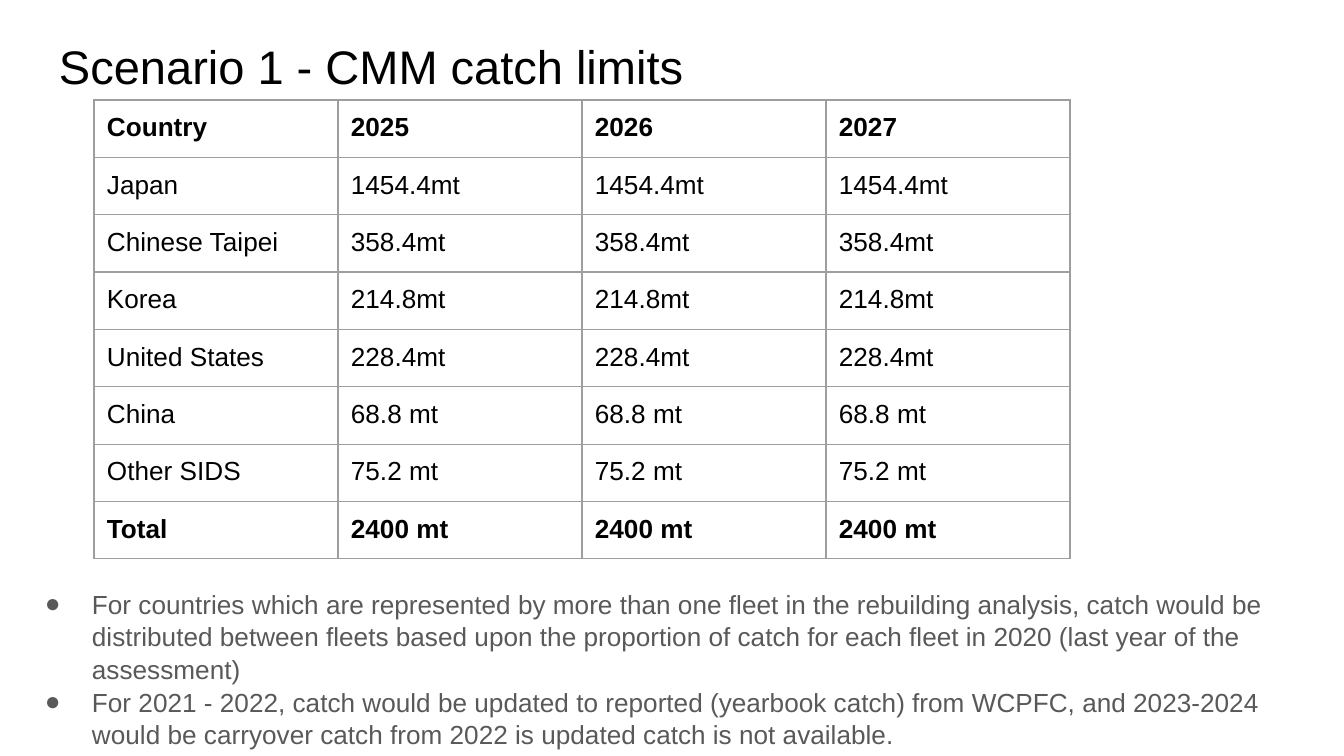
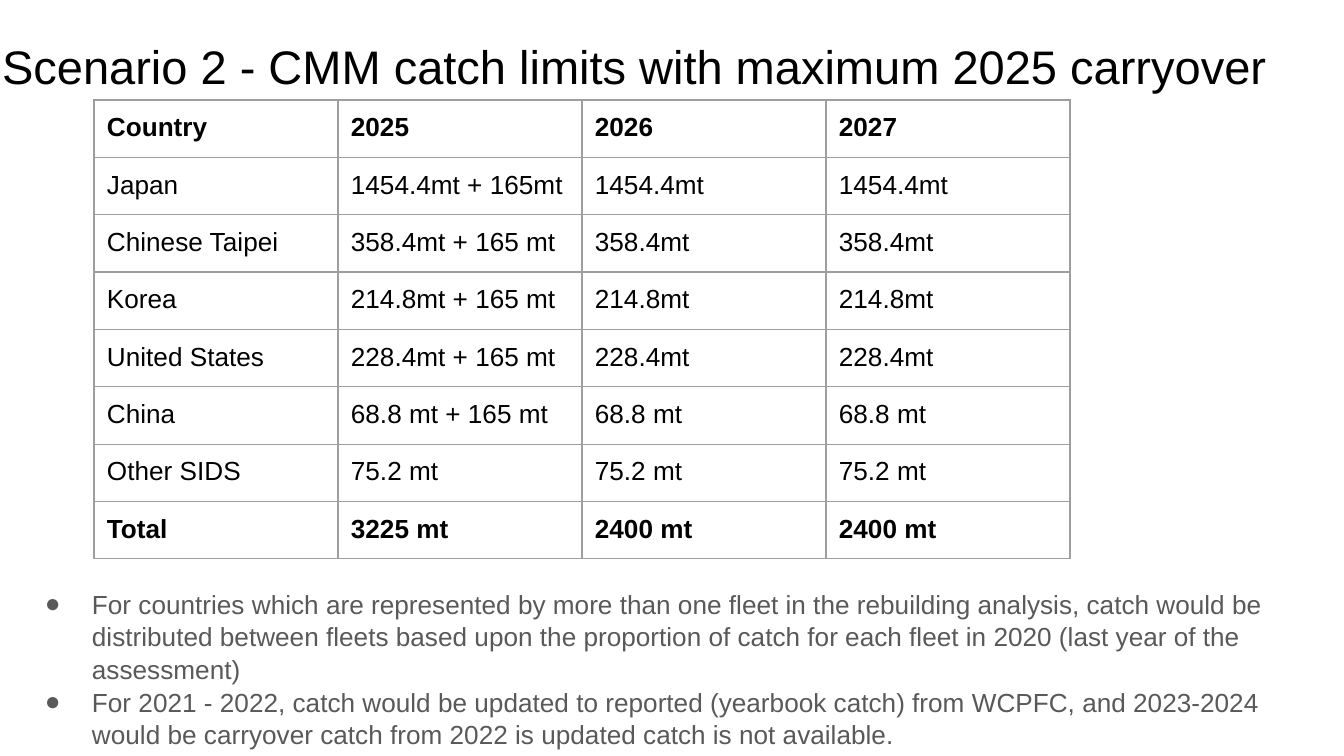
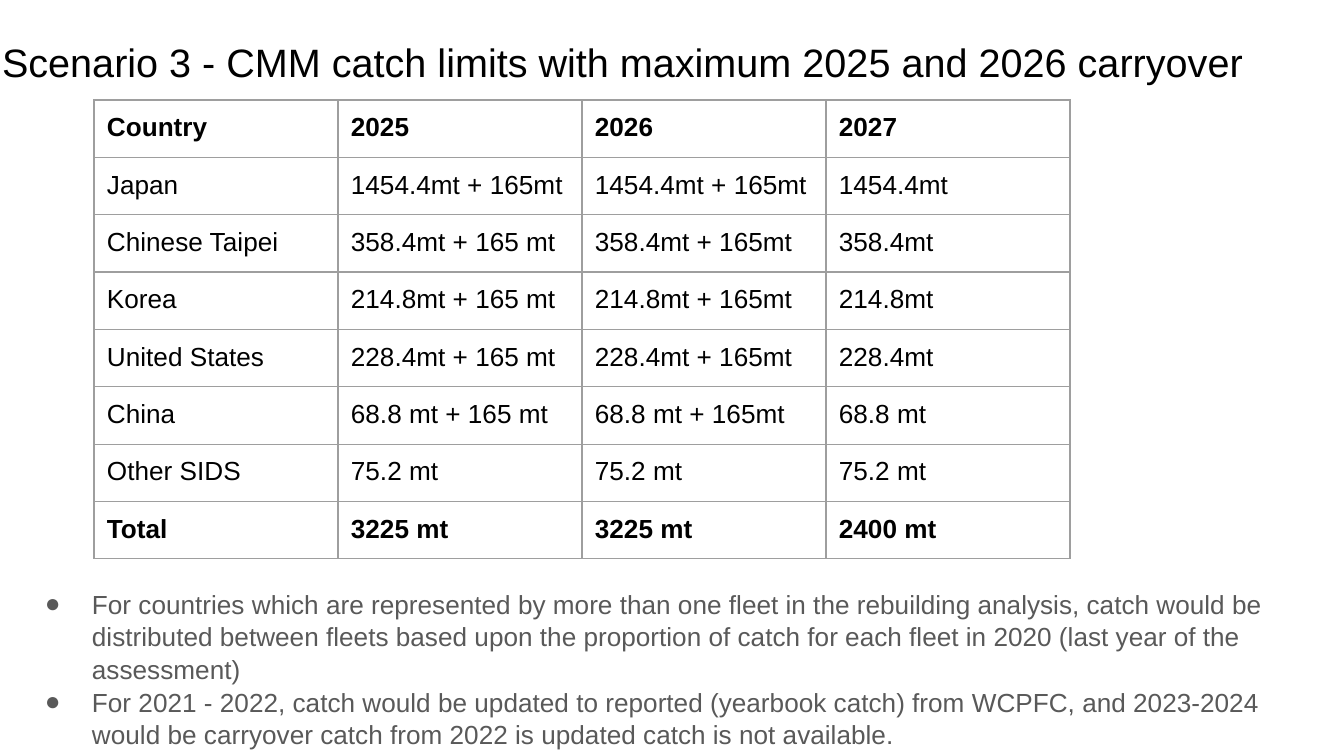
import pptx
import pptx.dml.color
import pptx.enum.text
import pptx.oxml.ns
import pptx.util
from lxml import etree

EMU_PER_PX = 914400 / 134.4
FONT = "Arial"
BLACK = pptx.dml.color.RGBColor(0x00, 0x00, 0x00)
NOTE_GREY = pptx.dml.color.RGBColor(0x59, 0x59, 0x59)
BORDER_GREY = pptx.dml.color.RGBColor(0x9E, 0x9E, 0x9E)

INSET = 13
TITLE_TOP, TITLE_HEIGHT = 20, 84
TABLE_LEFT, TABLE_TOP = 94, 100
COLUMN_WIDTH, ROW_HEIGHT = 244, 56

YEARS = ["2025", "2026", "2027"]
LIMITS = {
    "Japan": "1454.4mt",
    "Chinese Taipei": "358.4mt",
    "Korea": "214.8mt",
    "United States": "228.4mt",
    "China": "68.8 mt",
    "Other SIDS": "75.2 mt",
}
NOTES = [
    "For countries which are represented by more than one fleet in the rebuilding "
    "analysis, catch would be distributed between fleets based upon the proportion "
    "of catch for each fleet in 2020 (last year of the assessment)",
    "For 2021 - 2022, catch would be updated to reported (yearbook catch) from WCPFC, "
    "and 2023-2024 would be carryover catch from 2022 is updated catch is not available.",
]

# title, title left, title width, title size, years with carryover
SCENARIOS = [
    ("Scenario 1 - CMM catch limits", 46, 1253, 25.2, []),
    ("Scenario 2 - CMM catch limits with maximum 2025 carryover",
     -11, 1298, 25.2, ["2025"]),
    ("Scenario 3 - CMM catch limits with maximum 2025 and 2026 carryover",
     -11, 1298, 21.2, ["2025", "2026"]),
]


def px(length):
    return pptx.util.Emu(round(length * EMU_PER_PX))


def write(paragraph, text, size=14, color=BLACK, bold=False):
    run = paragraph.add_run()
    run.text = text
    run.font.name = FONT
    run.font.size = pptx.util.Pt(size)
    run.font.color.rgb = color
    run.font.bold = bold


def add_text_frame(slide, left, top, width, height, inset_top=INSET):
    box = slide.shapes.add_textbox(px(left), px(top), px(width), px(height))
    frame = box.text_frame
    frame.word_wrap = True
    frame.vertical_anchor = pptx.enum.text.MSO_ANCHOR.TOP
    frame.margin_left = frame.margin_right = frame.margin_bottom = px(INSET)
    frame.margin_top = px(inset_top)
    return frame


def add_title(slide, text, left, width, size):
    frame = add_text_frame(slide, left, TITLE_TOP, width, TITLE_HEIGHT, inset_top=18)
    write(frame.paragraphs[0], text, size=size)


def sub_element(parent, tag, **attributes):
    return etree.SubElement(parent, pptx.oxml.ns.qn(tag), **attributes)


def add_bullet(paragraph, color):
    properties = paragraph._p.get_or_add_pPr()
    properties.set("marL", str(px(67)))
    properties.set("indent", str(px(-47)))
    bullet_color = sub_element(properties, "a:buClr")
    sub_element(bullet_color, "a:srgbClr", val=str(color))
    sub_element(properties, "a:buFont", typeface=FONT)
    sub_element(properties, "a:buChar", char="●")


def add_notes(slide):
    frame = add_text_frame(slide, 12, 574, 1308, 167)
    for index, note in enumerate(NOTES):
        paragraph = frame.add_paragraph() if index else frame.paragraphs[0]
        paragraph.line_spacing = 1.04
        add_bullet(paragraph, NOTE_GREY)
        write(paragraph, note, color=NOTE_GREY)


def set_borders(cell):
    properties = cell._tc.get_or_add_tcPr()
    for position, side in enumerate(("a:lnL", "a:lnR", "a:lnT", "a:lnB")):
        line = etree.Element(pptx.oxml.ns.qn(side), w=str(pptx.util.Pt(0.75)))
        fill = sub_element(line, "a:solidFill")
        sub_element(fill, "a:srgbClr", val=str(BORDER_GREY))
        properties.insert(position, line)


def catch_limit(country, year, carryover_years):
    limit = LIMITS[country]
    if year not in carryover_years or country == "Other SIDS":
        return limit
    spaced = year == "2025" and country != "Japan"
    return limit + (" + 165 mt" if spaced else " + 165mt")


def catch_rows(carryover_years):
    rows = [["Country"] + YEARS]
    for country in LIMITS:
        rows.append([country] + [catch_limit(country, year, carryover_years)
                                 for year in YEARS])
    rows.append(["Total"] + ["3225 mt" if year in carryover_years else "2400 mt"
                             for year in YEARS])
    return rows


def add_catch_table(slide, rows):
    row_count, column_count = len(rows), len(rows[0])
    table = slide.shapes.add_table(
        row_count, column_count, px(TABLE_LEFT), px(TABLE_TOP),
        px(COLUMN_WIDTH * column_count), px(ROW_HEIGHT * row_count)).table
    table.first_row = table.horz_banding = False
    for column in table.columns:
        column.width = px(COLUMN_WIDTH)
    for row_index, values in enumerate(rows):
        table.rows[row_index].height = px(ROW_HEIGHT)
        for column_index, value in enumerate(values):
            cell = table.cell(row_index, column_index)
            cell.fill.background()
            cell.margin_left = cell.margin_right = px(INSET)
            cell.margin_top = cell.margin_bottom = px(INSET)
            set_borders(cell)
            write(cell.text_frame.paragraphs[0], value,
                  bold=row_index in (0, row_count - 1))


def main():
    deck = pptx.Presentation()
    deck.slide_width, deck.slide_height = px(1344), px(756)
    for title, left, width, size, carryover_years in SCENARIOS:
        slide = deck.slides.add_slide(deck.slide_layouts[6])
        add_title(slide, title, left, width, size)
        add_catch_table(slide, catch_rows(carryover_years))
        add_notes(slide)
    deck.save("out.pptx")


if __name__ == "__main__":
    main()
